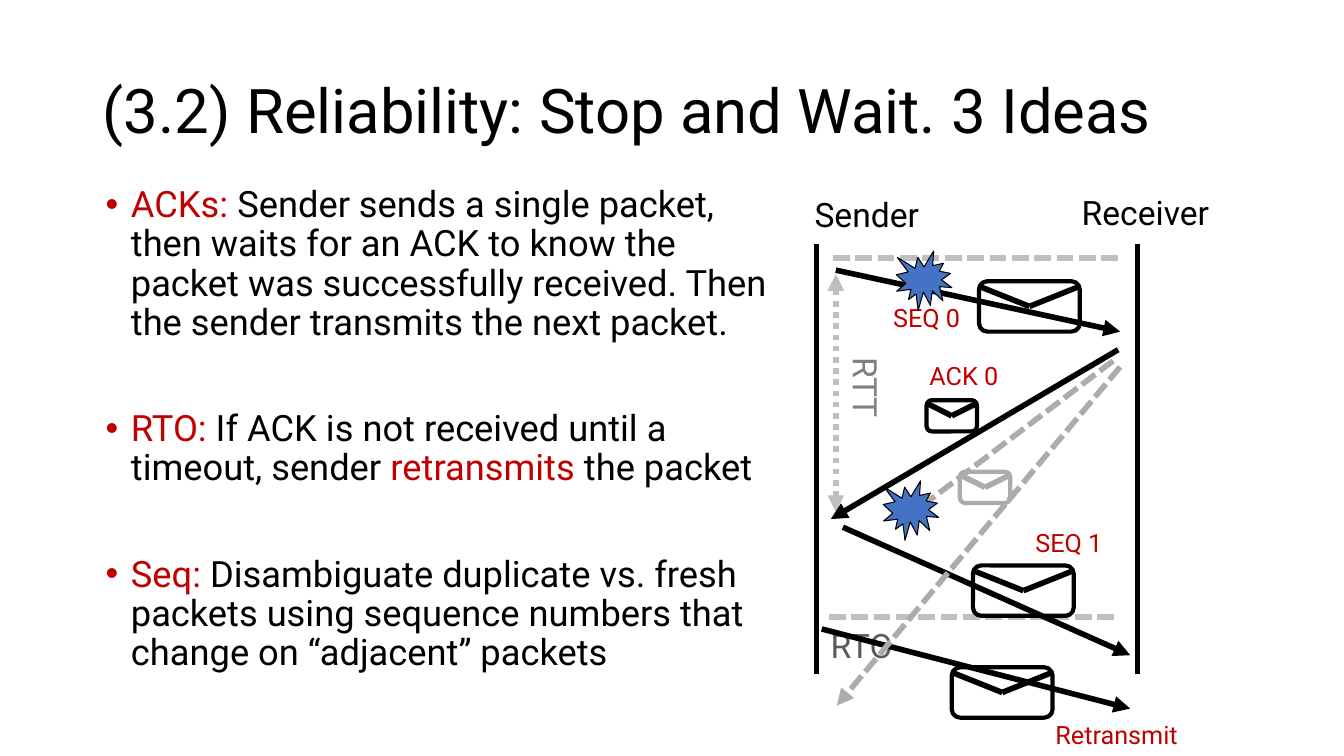
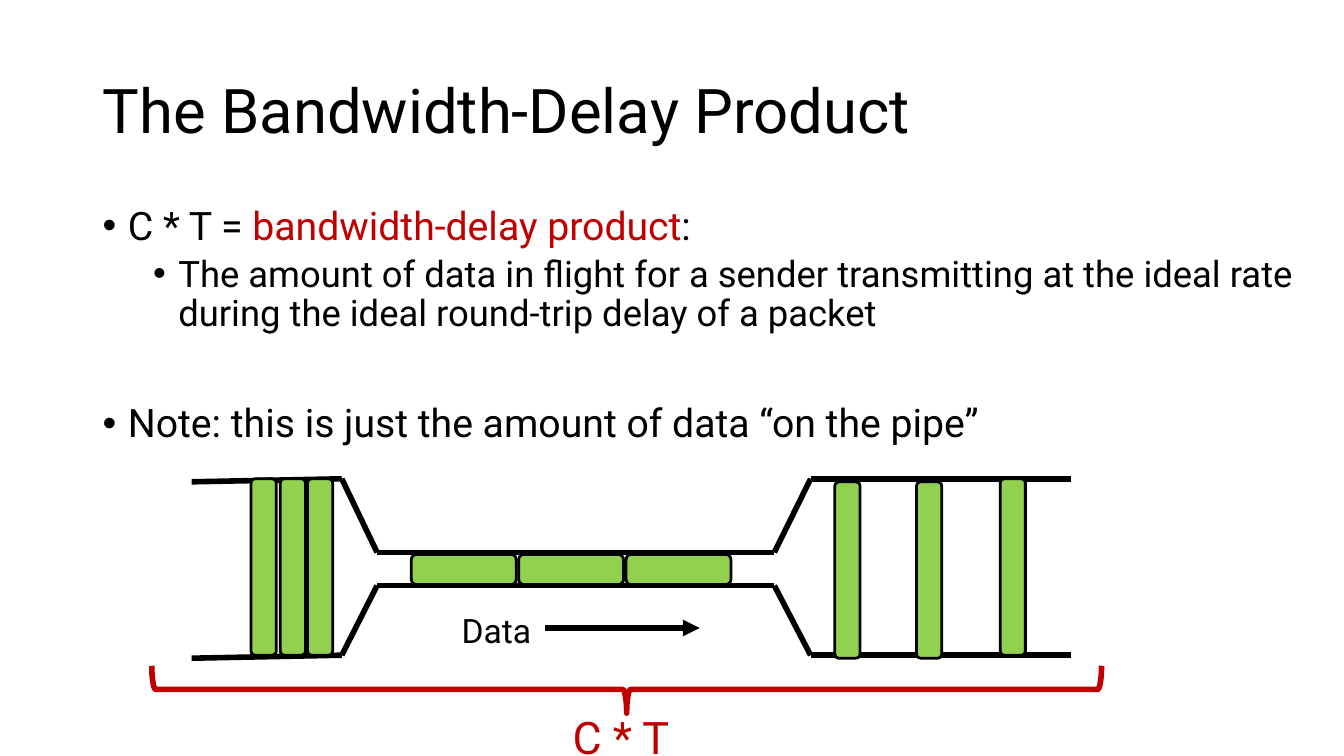
from dataclasses import dataclass
from lxml.etree import SubElement
from pptx import Presentation
from pptx.dml.color import RGBColor
from pptx.enum.dml import MSO_LINE
from pptx.enum.shapes import MSO_CONNECTOR, MSO_SHAPE
from pptx.enum.text import MSO_ANCHOR, MSO_AUTO_SIZE, PP_ALIGN
from pptx.oxml.ns import qn
from pptx.util import Inches, Pt


@dataclass(frozen=True)
class Theme:
    face: str = "Roboto"
    black: str = "000000"
    red: str = "C00000"
    blue: str = "4472C4"
    green: str = "92D050"
    gray: str = "808080"
    dark: str = "595959"
    pale: str = "BFBFBF"
    faint: str = "AFABAB"
    title: float = 44
    lead: float = 28
    body: float = 25.9
    sub: float = 26
    sum: float = 32
    label: float = 24
    tag: float = 18
    rule: float = 4


T = Theme()
DASH, DOT = MSO_LINE.SQUARE_DOT, MSO_LINE.ROUND_DOT


def write(par, runs, size):
    """Add (text, colour) runs to a paragraph."""
    for words, tint in runs:
        run = par.add_run()
        run.text = words
        look = {"name": T.face, "size": Pt(size)}
        for key, value in look.items():
            setattr(run.font, key, value)
        run.font.color.rgb = RGBColor.from_string(tint)


def link(slide, start, end, tint=T.black, dash=None, tips=()):
    """Draw a straight line, with arrowheads at the named ends."""
    wire = slide.shapes.add_connector(
        MSO_CONNECTOR.STRAIGHT, *map(Inches, (*start, *end)))
    wire.line.color.rgb = RGBColor.from_string(tint)
    wire.line.width = Pt(T.rule)
    if dash:
        wire.line.dash_style = dash
    for tip in tips:
        SubElement(wire.line._ln, qn(f"a:{tip}End"), type="triangle")
    SubElement(wire._element.spPr, qn("a:effectLst"))


TAIL = ("tail",)

# Stop and wait: lifelines, packets and time spans
waits = [((x, 2.42), (x, 6.69)) for x in (8.1, 11.28)]
waits += [
    ((8.22, 6.12), (11.07, 6.12), T.pale, DASH),
    ((8.26, 2.56), (11.11, 2.56), T.pale, DASH),
    ((8.29, 2.72), (8.29, 5.08), T.pale, DOT, ("head", "tail")),
]
waits += [(start, end, T.black, None, TAIL) for start, end in (
    ((8.29, 2.68), (11.11, 3.29)),
    ((11.09, 3.47), (8.24, 5.15)),
    ((8.36, 5.23), (11.21, 6.5)),
    ((8.15, 6.24), (11.21, 7.03)),
)]
waits += [(start, end, T.faint, DASH, TAIL) for start, end in (
    ((11.04, 3.58), (9.04, 5.1)),
    ((11.11, 3.64), (8.3, 7)),
)]

# Envelopes: a round box and the two halves of its flap
mail = []
for x, y, wide, high, tint in (
    (9.71, 2.79, 1, 0.5, T.black),
    (9.19, 3.97, 0.5, 0.31, T.black),
    (9.65, 5.61, 1, 0.5, T.black),
    (9.44, 6.62, 1, 0.5, T.black),
    (9.52, 4.68, 0.5, 0.31, T.faint),
):
    mail.append((MSO_SHAPE.ROUNDED_RECTANGLE, (x, y, wide, high),
                 None, tint, 3, 0))
    fold = (x + wide / 2, y + high / 2)
    for side in (x, x + wide):
        waits.append(((side, y + high / 10), fold, tint))

# Losses
mail += [(MSO_SHAPE.EXPLOSION1, (x, y, 0.55, 0.59), T.blue, T.black, 0.75, 0)
         for x, y in ((8.76, 4.77), (8.89, 2.49))]

# Pipe: upper and lower walls around the narrow middle
pipe = []
for walls in (
    ((1.9, 4.78), (3.39, 4.75), (3.74, 5.48),
     (7.68, 5.48), (8.04, 4.75), (10.62, 4.75)),
    ((1.9, 6.53), (3.39, 6.5), (3.74, 5.81),
     (7.68, 5.81), (8.04, 6.5), (10.62, 6.5)),
):
    pipe += list(zip(walls, walls[1:]))
pipe.append(((5.41, 6.23), (6.94, 6.23), T.black, None, TAIL))

# Data in the pipe, and the brace below it
spots = [(x, 4.75, 0.25, 1.75) for x in (2.49, 2.78, 3.05, 9.92)]
spots += [(x, 4.78, 0.25, 1.75) for x in (8.28, 9.09)]
spots += [(4.08 + 1.065 * i, 5.5, 1.04, 0.3) for i in range(3)]
data = [(MSO_SHAPE.ROUNDED_RECTANGLE, spot, T.green, T.black, 2, 0)
        for spot in spots]
data.append((MSO_SHAPE.RIGHT_BRACE, (5.98, 2.13, 0.47, 9.42),
             None, T.red, T.rule, 90))

# Body items: runs, size, indent level, space before
# Labels: text, place, size, colour, turn
pages = [
    {
        "title": "(3.2) Reliability: Stop and Wait. 3 Ideas",
        "place": (0.95, 1.8, 6.92, 5.5),
        "items": [
            ([("ACKs:", T.red),
              (" Sender sends a single packet, then waits for an ACK to know "
               "the packet was successfully received. Then the sender "
               "transmits the next packet.", T.black)], T.body, 0, 0),
            ([("RTO:", T.red),
              (" If ACK is not received until a timeout, sender ", T.black),
              ("retransmits", T.red), (" the packet", T.black)],
             T.body, 0, 48),
            ([("Seq:", T.red),
              (" Disambiguate duplicate vs. fresh packets using sequence "
               "numbers that change on “adjacent” packets", T.black)],
             T.body, 0, 48),
        ],
        "labels": [
            ("Sender", (7.98, 1.87, 1.51, 0.5), T.label, T.black, 0),
            ("Receiver", (10.63, 1.85, 1.68, 0.5), T.label, T.black, 0),
            ("RTT", (8.04, 3.75, 1.1, 0.5), T.label, T.gray, 90),
            ("RTO", (8.14, 6.15, 1.1, 0.5), T.label, T.dark, 0),
            ("SEQ 0", (8.76, 2.95, 1.08, 0.4), T.tag, T.red, 0),
            ("ACK 0", (9.12, 3.53, 1.08, 0.4), T.tag, T.red, 0),
            ("SEQ 1", (10.17, 5.18, 1.08, 0.4), T.tag, T.red, 0),
            ("Retransmit", (10.37, 7.09, 2.53, 0.4), T.tag, T.red, 0),
        ],
        "lines": waits,
        "shapes": mail,
    },
    {
        "title": "The Bandwidth-Delay Product",
        "place": (0.92, 2, 12.15, 5.29),
        "items": [
            ([("C * T = ", T.black), ("bandwidth-delay product", T.red),
              (":", T.black)], T.lead, 0, 0),
            ([("The amount of data in flight for a sender transmitting at "
               "the ideal rate during the ideal round-trip delay of a packet",
               T.black)], T.sub, 1, 5),
            ([("Note: this is just the amount of data “on the pipe”",
               T.black)], T.lead, 0, 49.5),
        ],
        "labels": [
            ("Data", (4.48, 6, 2.84, 0.5), T.label, T.black, 0),
            ("C * T", (5.58, 6.99, 1.41, 0.64), T.sum, T.red, 0),
        ],
        "lines": pipe,
        "shapes": data,
    },
]

deck = Presentation()
deck.slide_width, deck.slide_height = Inches(13.33), Inches(7.5)

for page in pages:
    slide = deck.slides.add_slide(deck.slide_layouts[5])

    # Title
    head = slide.shapes.title
    spot = {"left": 0.92, "top": 0.4, "width": 11.5, "height": 1.45}
    for key, value in spot.items():
        setattr(head, key, Inches(value))
    frame = head.text_frame
    frame.vertical_anchor = MSO_ANCHOR.MIDDLE
    frame.auto_size = MSO_AUTO_SIZE.NONE
    par = frame.paragraphs[0]
    par.alignment, par.line_spacing = PP_ALIGN.LEFT, 0.9
    write(par, [(page["title"], T.black)], T.title)

    # Bulleted body
    frame = slide.shapes.add_textbox(*map(Inches, page["place"])).text_frame
    frame.word_wrap = True
    for i, (runs, size, level, gap) in enumerate(page["items"]):
        par = frame.add_paragraph() if i else frame.paragraphs[0]
        form = {"level": level, "line_spacing": 0.9, "space_before": Pt(gap)}
        for key, value in form.items():
            setattr(par, key, value)
        props = par._p.get_or_add_pPr()
        props.set("marL", str(Inches(0.25 + 0.5 * level)))
        props.set("indent", str(Inches(-0.25)))
        SubElement(props, qn("a:buFont"), typeface="Arial")
        SubElement(props, qn("a:buChar"), char="•")
        write(par, runs, size)

    # Labels
    for words, place, size, tint, turn in page["labels"]:
        box = slide.shapes.add_textbox(*map(Inches, place))
        box.rotation = turn
        box.text_frame.word_wrap = True
        write(box.text_frame.paragraphs[0], [(words, tint)], size)

    # Lines and arrows
    for args in page["lines"]:
        link(slide, *args)

    # Shapes
    for kind, place, fill, tint, width, turn in page["shapes"]:
        part = slide.shapes.add_shape(kind, *map(Inches, place))
        part.shadow.inherit = False
        part.rotation = turn
        if fill:
            part.fill.solid()
            part.fill.fore_color.rgb = RGBColor.from_string(fill)
        else:
            part.fill.background()
        part.line.color.rgb = RGBColor.from_string(tint)
        part.line.width = Pt(width)

deck.save("out.pptx")
